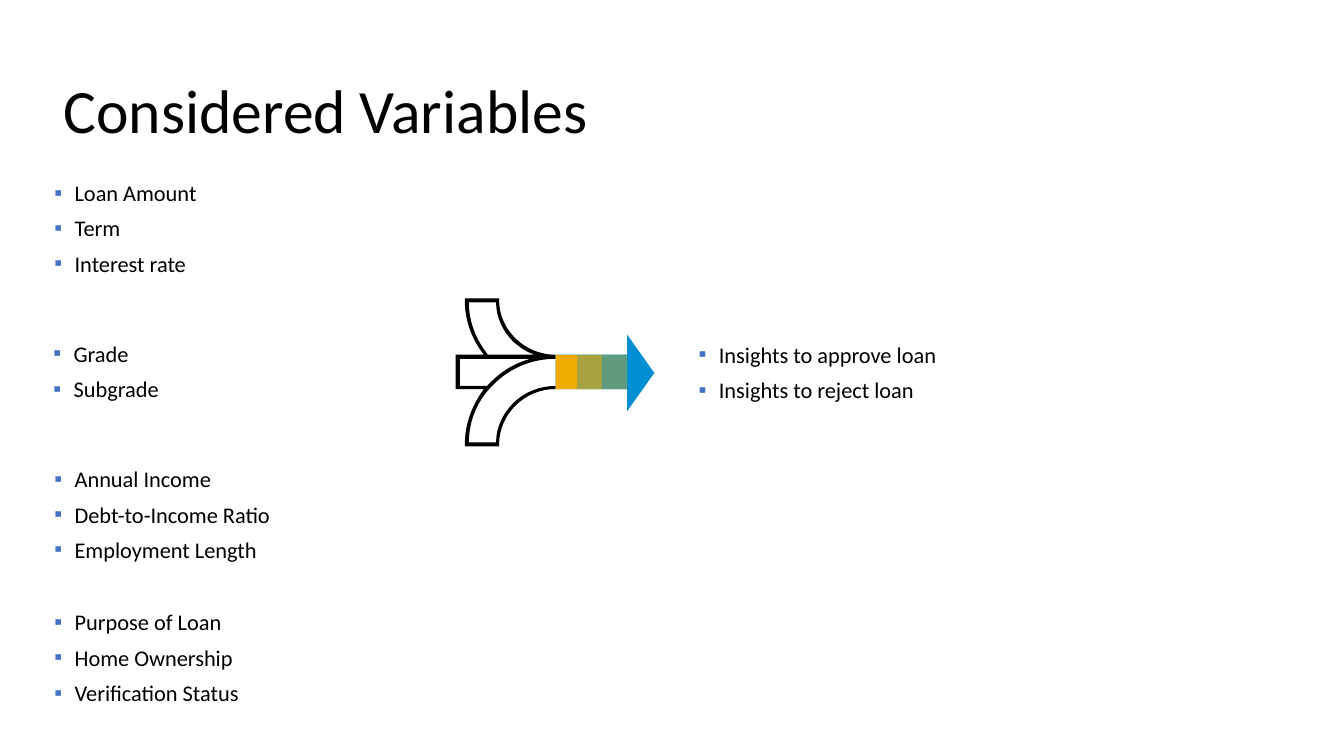
import itertools
from dataclasses import dataclass

import pptx
import pptx.dml.color
import pptx.enum.shapes
import pptx.enum.text
import pptx.oxml
import pptx.oxml.ns
import pptx.util

Inches = pptx.util.Inches
Pt = pptx.util.Pt


@dataclass(frozen=True)
class Theme:
    font: str = "Calibri"
    bullet_font: str = "Arial"
    title_size: int = 44
    list_size: int = 16
    ink: str = "000000"
    bullet: str = "4472C4"
    arrow: str = "008FD3"
    bands: tuple = ("F0AB00", "A8A33F", "609A7F")


THEME = Theme()

# Left, top and entries of each variable list
VARIABLE_LISTS = [
    (0.54, 4.63, ["Annual Income", "Debt-to-Income Ratio", "Employment Length"]),
    (0.53, 3.21, ["Grade", "Subgrade"]),
    (0.54, 1.79, ["Loan Amount", "Term", "Interest rate"]),
    (0.54, 6.05, ["Purpose of Loan", "Home Ownership", "Verification Status"]),
]
INSIGHTS = ["Insights to approve loan", "Insights to reject loan"]

# Contours of the merging pipes: two numbers are a corner, six a cubic curve
PIPE_CONTOURS = [
    [
        (5.51, 3.56), (5.51, 3.52), (5.2, 3.52, 4.95, 3.27, 4.95, 2.98),
        (4.95, 2.96), (4.61, 2.96), (4.61, 2.98),
        (4.61, 3.18, 4.68, 3.37, 4.8, 3.52),
        (4.52, 3.52), (4.52, 3.86), (4.8, 3.86),
        (4.68, 4.02, 4.61, 4.21, 4.61, 4.41),
        (4.61, 4.43), (4.95, 4.43), (4.95, 4.41),
        (4.95, 4.11, 5.2, 3.86, 5.51, 3.86),
        (5.51, 3.83), (5.35, 3.83, 5.2, 3.89, 5.09, 4),
        (4.98, 4.11, 4.92, 4.25, 4.92, 4.39), (4.65, 4.39),
        (4.65, 4.17, 4.74, 3.96, 4.9, 3.81),
        (5.06, 3.65, 5.28, 3.56, 5.51, 3.56),
    ],
    [
        (4.65, 3), (4.92, 3), (4.92, 3.14, 4.98, 3.28, 5.09, 3.39),
        (5.16, 3.45, 5.23, 3.5, 5.31, 3.52), (4.84, 3.52),
        (4.72, 3.37, 4.65, 3.19, 4.65, 3),
    ],
    [
        (4.83, 3.83), (4.56, 3.83), (4.56, 3.56), (5.26, 3.56),
        (5.12, 3.6, 4.99, 3.67, 4.88, 3.78), (4.86, 3.8, 4.84, 3.82, 4.83, 3.83),
    ],
]
ARROW = [(6.22, 4.08), (6.49, 3.7), (6.22, 3.32), (6.22, 3.52),
         (5.51, 3.52), (5.51, 3.86), (6.22, 3.86)]
BAND_EDGES = [5.51, 5.73, 5.97, 6.22]
BAND_TOP, BAND_HEIGHT = 3.52, 0.34


def color(code):
    return pptx.dml.color.RGBColor.from_string(code)


def paint(shape, code):
    shape.shadow.inherit = False
    shape.fill.solid()
    shape.fill.fore_color.rgb = color(code)
    shape.line.fill.background()


def style_runs(para, size):
    for span in para.runs:
        span.font.name = THEME.font
        span.font.size = Pt(size)
        span.font.color.rgb = color(THEME.ink)


def bend_lines(shape, contours):
    """Replace the straight lines that stand for cubic curves."""
    lines = shape._element.findall(".//" + pptx.oxml.ns.qn("a:lnTo"))
    steps = itertools.chain.from_iterable(contour[1:] for contour in contours)
    for line, step in zip(lines, steps):
        if len(step) == 2:
            continue
        points = "".join(
            f'<a:pt x="{Inches(x) - shape.left}" y="{Inches(y) - shape.top}"/>'
            for x, y in zip(step[::2], step[1::2]))
        curve = pptx.oxml.parse_xml(
            f'<a:cubicBezTo {pptx.oxml.ns.nsdecls("a")}>{points}</a:cubicBezTo>')
        line.getparent().replace(line, curve)


def add_outline(shapes, contours, code):
    builder = None
    for contour in contours:
        points = [(Inches(step[-2]), Inches(step[-1])) for step in contour]
        if builder is None:
            builder = shapes.build_freeform(*points[0])
        else:
            builder.move_to(*points[0])
        # Closing is a separate mark, so each step keeps exactly one line
        builder.add_line_segments(points[1:], close=True)
    shape = builder.convert_to_shape()
    bend_lines(shape, contours)
    paint(shape, code)


def add_bullet(para):
    para.level = 1
    para.space_before = Pt(6)
    properties = para._p.get_or_add_pPr()
    properties.set("marL", str(Inches(0.2)))
    properties.set("indent", str(-Inches(0.2)))
    namespace = pptx.oxml.ns.nsdecls("a")
    for markup in (
        f'<a:buClr {namespace}><a:srgbClr val="{THEME.bullet}"/></a:buClr>',
        f'<a:buFont {namespace} typeface="{THEME.bullet_font}"/>',
        f'<a:buChar {namespace} char="▪"/>',
    ):
        properties.append(pptx.oxml.parse_xml(markup))


def add_list(shapes, left, top, entries):
    box = shapes.add_textbox(Inches(left), Inches(top), Inches(3.55), Inches(0.94))
    frame = box.text_frame
    frame.word_wrap = True
    frame.vertical_anchor = pptx.enum.text.MSO_ANCHOR.MIDDLE
    frame.margin_left = frame.margin_right = frame.margin_top = frame.margin_bottom = 0
    frame.text = "\n".join(entries)
    for para in frame.paragraphs:
        add_bullet(para)
        style_runs(para, THEME.list_size)


def add_merging_arrow(page):
    shapes = page.shapes.add_group_shape().shapes
    add_outline(shapes, PIPE_CONTOURS, THEME.ink)
    add_outline(shapes, [ARROW], THEME.arrow)
    for (left, right), code in zip(itertools.pairwise(BAND_EDGES), THEME.bands):
        band = shapes.add_shape(
            pptx.enum.shapes.MSO_SHAPE.RECTANGLE, Inches(left), Inches(BAND_TOP),
            Inches(right - left), Inches(BAND_HEIGHT))
        paint(band, code)


def set_title(page, text):
    title = page.shapes.title
    title.left, title.top = Inches(0.53), Inches(0.4)
    title.width, title.height = Inches(11.88), Inches(1.45)
    frame = title.text_frame
    frame.text = text
    frame.auto_size = pptx.enum.text.MSO_AUTO_SIZE.NONE
    frame.vertical_anchor = pptx.enum.text.MSO_ANCHOR.MIDDLE
    para = frame.paragraphs[0]
    para.alignment = pptx.enum.text.PP_ALIGN.LEFT
    para.line_spacing = 0.9
    style_runs(para, THEME.title_size)


def main():
    deck = pptx.Presentation()
    deck.slide_width, deck.slide_height = Inches(13.33), Inches(7.5)
    page = deck.slides.add_slide(deck.slide_layouts[5])

    # Outcome and the arrow that leads to it
    add_list(page.shapes, 6.93, 3.22, INSIGHTS)
    add_merging_arrow(page)

    # Title
    set_title(page, "Considered Variables")

    # Variables that feed the arrow
    variables = page.shapes.add_group_shape().shapes
    for left, top, entries in VARIABLE_LISTS:
        add_list(variables, left, top, entries)

    deck.save("out.pptx")


if __name__ == "__main__":
    main()
